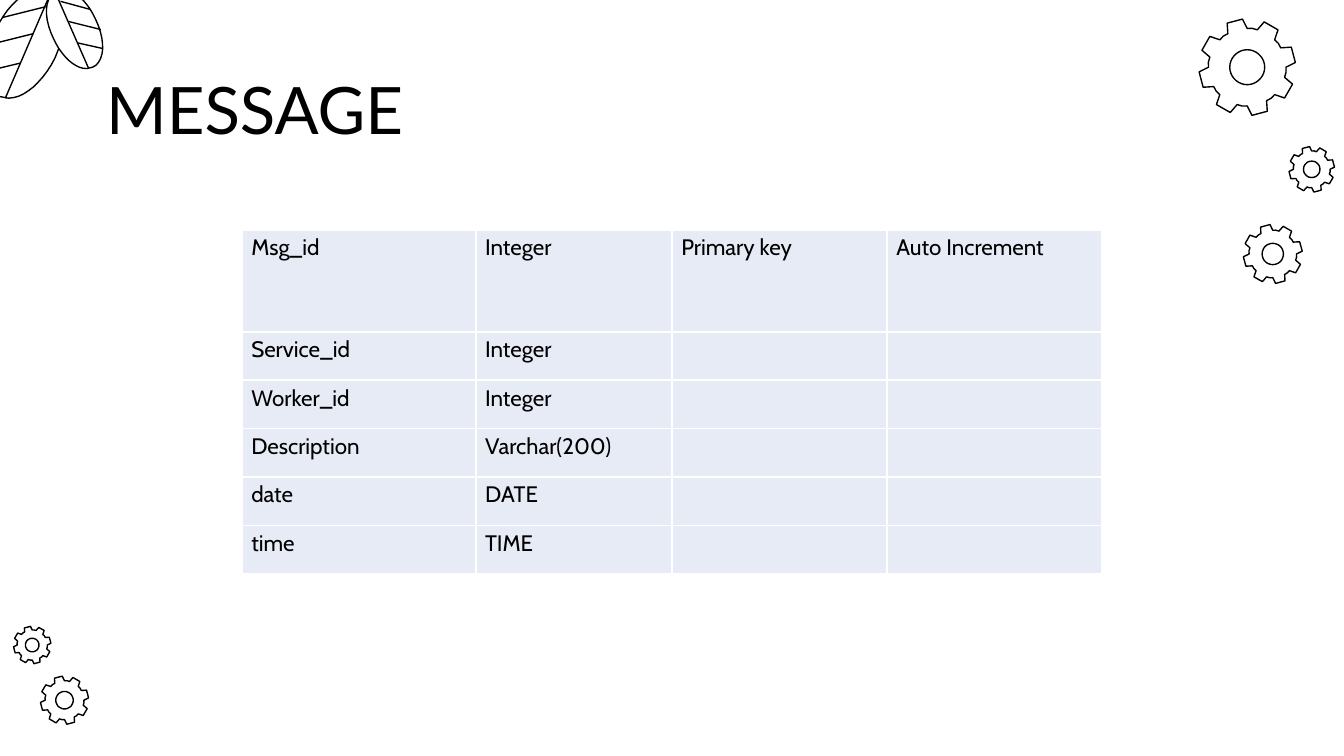
import math
import pptx
import pptx.util
import pptx.dml.color
import pptx.enum.shapes
import pptx.enum.text
import pptx.oxml
import pptx.oxml.ns

Inches, Pt = pptx.util.Inches, pptx.util.Pt
ALIGN = pptx.enum.text.PP_ALIGN
INK, PAPER, CELL = "000000", "FFFFFF", "E7EBF5"
UNIT = 1000  # freeform units to the inch

# Centre x, centre y and outer radius of each gear
GEARS = [(9.47, 1.89, 0.22), (9.76, 1.26, 0.17), (9.28, 0.5, 0.36),
         (0.48, 5.21, 0.18), (0.24, 4.8, 0.14)]

# Leaf outlines are a start and Bezier curves; veins are line ends.
# All are measured from the corner of the leaf's box.
LEAVES = [
    {"at": (-0.13, -0.08), "start": (0.2, 0.81),
     "curves": [((0.17, 0.81), (0.15, 0.8), (0.13, 0.8)),
                ((0.01, 0.74), (0, 0.52), (0.1, 0.3)),
                ((0.18, 0.12), (0.32, 0), (0.44, 0)),
                ((0.46, 0), (0.48, 0.01), (0.5, 0.02)),
                ((0.62, 0.08), (0.64, 0.29), (0.54, 0.51)),
                ((0.45, 0.69), (0.31, 0.81), (0.2, 0.81))],
     "veins": [(0.47, 0.13, 0.15, 0.21), (0.38, 0.33, 0.06, 0.41),
               (0.28, 0.55, 0.03, 0.61), (0.17, 0.81, 0.51, 0.02)]},
    {"at": (0.32, -0.08), "start": (0.32, 0.59),
     "curves": [((0.34, 0.59), (0.36, 0.58), (0.37, 0.58)),
                ((0.46, 0.54), (0.47, 0.38), (0.39, 0.22)),
                ((0.33, 0.09), (0.23, 0), (0.15, 0)),
                ((0.13, 0), (0.12, 0.01), (0.1, 0.01)),
                ((0.01, 0.06), (0, 0.21), (0.08, 0.37)),
                ((0.14, 0.5), (0.24, 0.59), (0.32, 0.59))],
     "veins": [(0.13, 0.09, 0.35, 0.15), (0.19, 0.24, 0.43, 0.3),
               (0.26, 0.4, 0.44, 0.44), (0.34, 0.59, 0.09, 0.02)]},
]

ROWS = [["Msg_id", "Integer", "Primary key", "Auto Increment"],
        ["Service_id", "Integer"],
        ["Worker_id", "Integer"],
        ["Description", "Varchar(200)"],
        ["date", "DATE"],
        ["time", "TIME"]]


def color(code):
    return pptx.dml.color.RGBColor.from_string(code)


def write(frame, text, font="Cabin", size=12, ink=INK, align=ALIGN.LEFT,
          space=1.0, inset=0.0):
    frame.margin_left = frame.margin_right = Inches(inset)
    frame.margin_top = frame.margin_bottom = 0
    frame.word_wrap = True
    para = frame.paragraphs[0]
    para.text = text
    para.alignment = align
    para.line_spacing = space
    para.font.name = font
    para.font.size = Pt(size)
    para.font.color.rgb = color(ink)


def outline(slide, loops, fill=None):
    """Draw closed loops of points, in inches, as one freeform."""
    loops = [[(x * UNIT, y * UNIT) for x, y in loop] for loop in loops]
    first, *rest = loops
    build = slide.shapes.build_freeform(*first[0], scale=Inches(1) / UNIT)
    build.add_line_segments(first[1:], close=True)
    for loop in rest:
        build.move_to(*loop[0])
        build.add_line_segments(loop[1:], close=True)
    shape = build.convert_to_shape()
    shape.shadow.inherit = False
    if fill:
        shape.fill.solid()
        shape.fill.fore_color.rgb = color(fill)
    else:
        shape.fill.background()
    shape.line.color.rgb = color(INK)
    shape.line.width = Pt(0.75)


def stroke(slide, x1, y1, x2, y2):
    line = slide.shapes.add_connector(
        pptx.enum.shapes.MSO_CONNECTOR.STRAIGHT,
        Inches(x1), Inches(y1), Inches(x2), Inches(y2))
    line.line.color.rgb = color(INK)
    line.line.width = Pt(0.75)
    props = line._element.spPr
    props.append(props.makeelement(pptx.oxml.ns.qn("a:effectLst"), {}))


def gear(slide, x, y, size):
    def polar(turn, ratio):
        turn = math.radians(turn)
        return (x + size * ratio * math.cos(turn),
                y + size * ratio * math.sin(turn))

    # Eight teeth: foot, tip, tip, foot, then the middle of the gap
    tooth = [(-15, 0.8), (-9.5, 1), (9.5, 1), (15, 0.8), (22.5, 0.81)]
    rim = [polar(30 + 45 * i + turn, ratio)
           for i in range(8) for turn, ratio in tooth]
    hole = [polar(turn, 0.36) for turn in range(0, 360, 10)]
    outline(slide, [rim, hole])


def curve(a, b, c, d, steps=10):
    for i in range(1, steps + 1):
        t = i / steps
        u = 1 - t
        yield tuple(u**3 * p + 3 * u * u * t * q + 3 * u * t * t * r + t**3 * s
                    for p, q, r, s in zip(a, b, c, d))


def leaf(slide, at, start, curves, veins):
    left, top = at
    points = [start]
    for part in curves:
        points += curve(points[-1], *part)
    outline(slide, [[(left + x, top + y) for x, y in points]], fill=PAPER)
    for x1, y1, x2, y2 in veins:
        stroke(slide, left + x1, top + y1, left + x2, top + y2)


def heading(slide, text, left, top, width, height):
    title = slide.shapes.title
    title.left, title.top = Inches(left), Inches(top)
    title.width, title.height = Inches(width), Inches(height)
    title.text_frame.auto_size = pptx.enum.text.MSO_AUTO_SIZE.NONE
    title.text_frame.vertical_anchor = pptx.enum.text.MSO_ANCHOR.MIDDLE
    write(title.text_frame, text, font="Lato", size=35)


def border(cell, code, width):
    props = cell._tc.get_or_add_tcPr()
    for side in ("lnL", "lnR", "lnT", "lnB"):
        props.append(pptx.oxml.parse_xml(
            f'<a:{side} {pptx.oxml.ns.nsdecls("a")} w="{Pt(width)}">'
            f'<a:solidFill><a:srgbClr val="{code}"/></a:solidFill></a:{side}>'))


def grid(slide, left, top, widths, heights):
    frame = slide.shapes.add_table(
        len(heights), len(widths), Inches(left), Inches(top),
        Inches(sum(widths)), Inches(sum(heights)))
    table = frame.table
    table.first_row = table.horz_banding = False
    for col, width in zip(table.columns, widths):
        col.width = Inches(width)
    for row, height, texts in zip(table.rows, heights, ROWS):
        row.height = Inches(height)
        for i, cell in enumerate(row.cells):
            border(cell, PAPER, 1)
            cell.fill.solid()
            cell.fill.fore_color.rgb = color(CELL)
            cell.margin_left = cell.margin_right = Inches(0.07)
            cell.margin_top = cell.margin_bottom = 0
            if i < len(texts):
                align = ALIGN.LEFT if i == 3 else ALIGN.JUSTIFY
                write(cell.text_frame, texts[i], align=align, space=1.15,
                      inset=0.07)


def main():
    deck = pptx.Presentation()
    # Widescreen, 16 to 9
    deck.slide_width = Inches(10)
    deck.slide_height = deck.slide_width * 9 // 16
    slide = deck.slides.add_slide(deck.slide_layouts[5])

    # Corner ornaments
    for spot in GEARS:
        gear(slide, *spot)
    for part in LEAVES:
        leaf(slide, **part)

    # Title and table of fields
    heading(slide, "MESSAGE", 0.79, 0.49, 8.43, 0.63)
    grid(slide, 1.8, 1.71, [1.74, 1.46, 1.6, 1.6], [0.76] + [0.36] * 5)

    deck.save("out.pptx")


if __name__ == "__main__":
    main()
